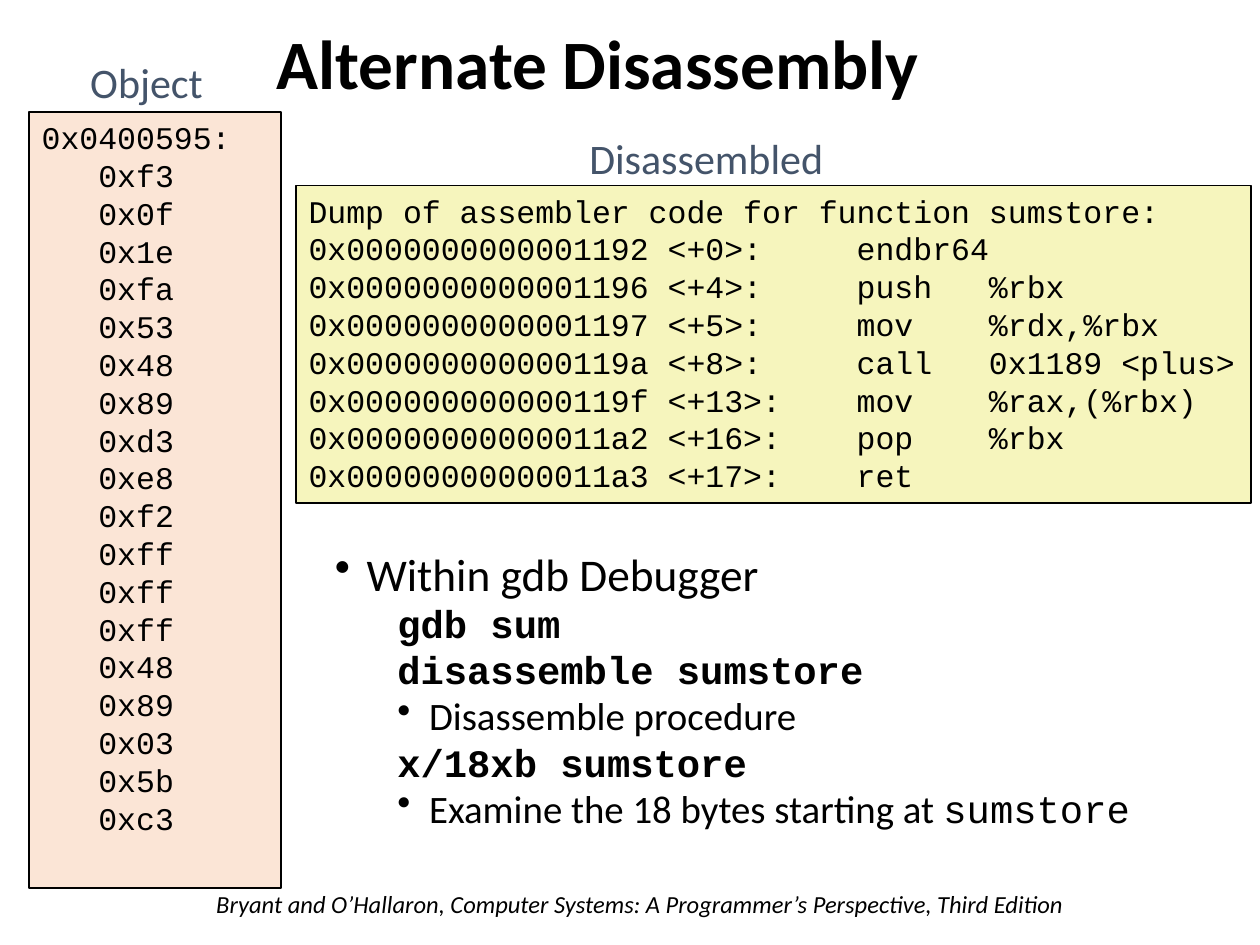
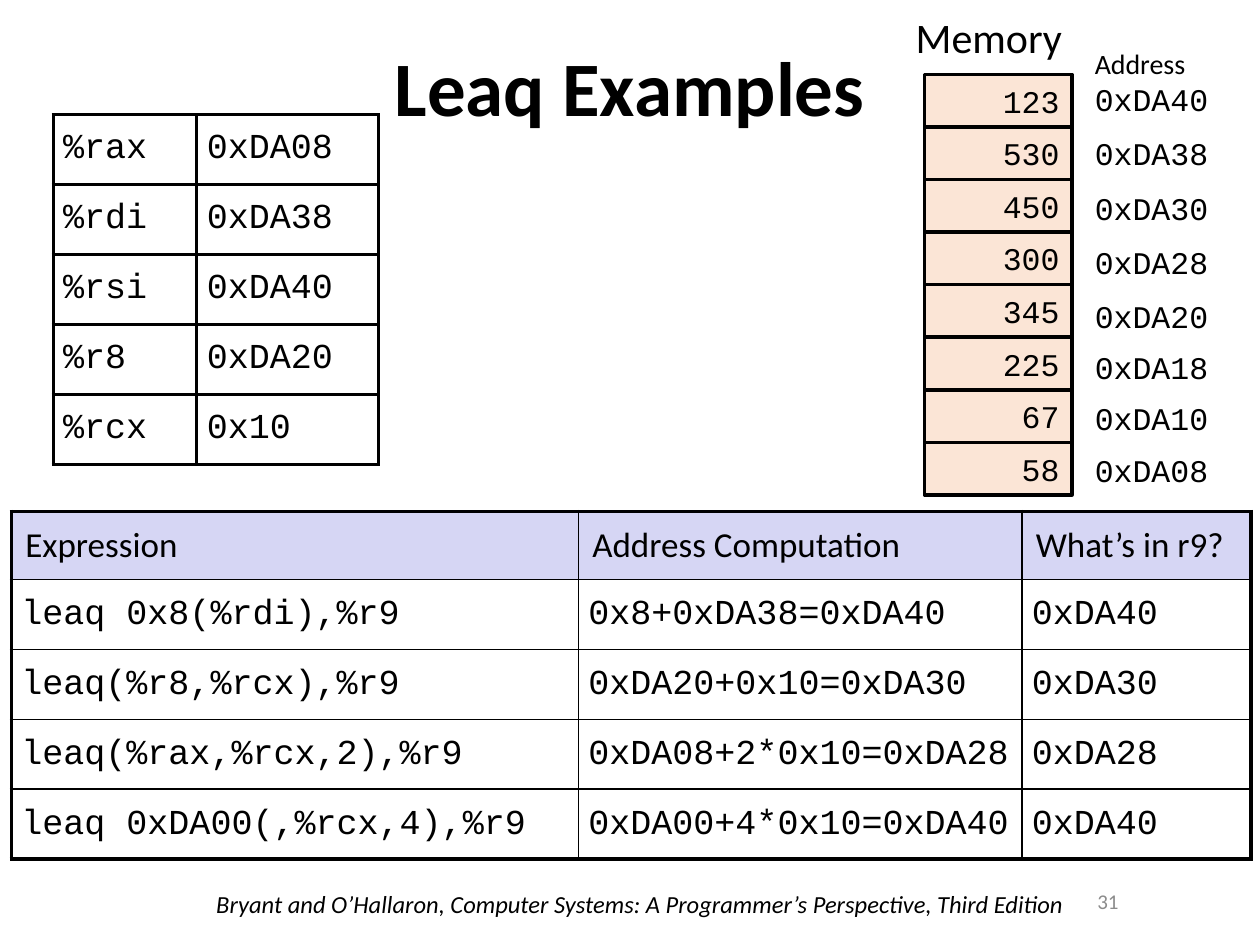
"""Build two slides on disassembly and the leaq instruction."""
import dataclasses

import lxml.etree
import pptx
import pptx.dml.color
import pptx.enum.shapes
import pptx.enum.text
import pptx.oxml.ns
import pptx.util

Cm = pptx.util.Cm
Pt = pptx.util.Pt
Color = pptx.dml.color.RGBColor
Align = pptx.enum.text.PP_ALIGN
Anchor = pptx.enum.text.MSO_ANCHOR


@dataclasses.dataclass(frozen=True)
class Theme:
    """Colours, fonts and type sizes of the deck."""
    sans: str = "Calibri"
    mono: str = "Courier New"
    black: Color = Color(0, 0, 0)
    white: Color = Color(255, 255, 255)
    slate: Color = Color(0x44, 0x54, 0x6A)
    gray: Color = Color(0x8C, 0x8C, 0x8C)
    peach: Color = Color(0xFB, 0xE5, 0xD6)
    yellow: Color = Color(0xF6, 0xF5, 0xBD)
    lavender: Color = Color(0xD6, 0xD6, 0xF4)
    title: float = 44
    small_title: float = 39.6
    body: float = 25.9
    sub_body: float = 22.2
    label: float = 24
    table: float = 20
    code: float = 18
    caption: float = 16
    footer: float = 14
    page: float = 12


THEME = Theme()
FOOTER = "Bryant and O’Hallaron, Computer Systems: A Programmer’s Perspective, Third Edition"
OBJECT_BYTES = ("f3 0f 1e fa 53 48 89 d3 e8 f2 ff ff ff 48 89 03 5b c3").split()
DISASSEMBLY = (
    "Dump of assembler code for function sumstore:",
    "0x0000000000001192 <+0>:     endbr64",
    "0x0000000000001196 <+4>:     push   %rbx",
    "0x0000000000001197 <+5>:     mov    %rdx,%rbx",
    "0x000000000000119a <+8>:     call   0x1189 <plus>",
    "0x000000000000119f <+13>:    mov    %rax,(%rbx)",
    "0x00000000000011a2 <+16>:    pop    %rbx",
    "0x00000000000011a3 <+17>:    ret",
)
REGISTERS = (
    ("%rax", "0xDA08"),
    ("%rdi", "0xDA38"),
    ("%rsi", "0xDA40"),
    ("%r8", "0xDA20"),
    ("%rcx", "0x10"),
)
MEMORY = (
    ("123", "0xDA40", 1.48),
    ("530", "0xDA38", 2.58),
    ("450", "0xDA30", 3.68),
    ("300", "0xDA28", 4.78),
    ("345", "0xDA20", 5.87),
    ("225", "0xDA18", 6.9),
    ("67", "0xDA10", 7.92),
    ("58", "0xDA08", 8.96),
)
LEAQ_EXAMPLES = (
    ("Expression", "Address Computation", "What’s in r9?"),
    ("leaq 0x8(%rdi),%r9", "0x8+0xDA38=0xDA40", "0xDA40"),
    ("leaq(%r8,%rcx),%r9", "0xDA20+0x10=0xDA30", "0xDA30"),
    ("leaq(%rax,%rcx,2),%r9", "0xDA08+2*0x10=0xDA28", "0xDA28"),
    ("leaq 0xDA00(,%rcx,4),%r9", "0xDA00+4*0x10=0xDA40", "0xDA40"),
)


def add_run(paragraph, text, size, font=THEME.sans, color=THEME.black, bold=False, italic=False):
    """Append one formatted run to a paragraph."""
    run = paragraph.add_run()
    run.text = text
    run.font.name = font
    run.font.size = Pt(size)
    run.font.color.rgb = color
    run.font.bold = bold
    run.font.italic = italic


def next_paragraph(frame):
    """Return the unused first paragraph of a frame, or a new one."""
    first = frame.paragraphs[0]
    return frame.add_paragraph() if first.runs else first


def add_text(slide, box, text, size, align=Align.LEFT, anchor=Anchor.TOP, spacing=None, **style):
    """Add a one-paragraph text box; box is left, top, width, height in cm."""
    frame = slide.shapes.add_textbox(*map(Cm, box)).text_frame
    frame.word_wrap = True
    frame.vertical_anchor = anchor
    paragraph = frame.paragraphs[0]
    paragraph.alignment = align
    if spacing:
        paragraph.line_spacing = spacing
    add_run(paragraph, text, size, **style)


def add_title(slide, box, text, size):
    """Add a bold centred slide title."""
    add_text(slide, box, text, size, Align.CENTER, Anchor.MIDDLE, 0.9, bold=True)


def add_code_box(slide, box, lines, fill, line_width=1, align=Align.LEFT, anchor=Anchor.TOP):
    """Add a bordered rectangle that holds lines of code."""
    shape = slide.shapes.add_shape(
        pptx.enum.shapes.MSO_SHAPE.RECTANGLE, *map(Cm, box))
    shape.shadow.inherit = False
    shape.fill.solid()
    shape.fill.fore_color.rgb = fill
    shape.line.color.rgb = THEME.black
    shape.line.width = Pt(line_width)
    frame = shape.text_frame
    frame.word_wrap = True
    frame.vertical_anchor = anchor
    for line in lines:
        paragraph = next_paragraph(frame)
        paragraph.alignment = align
        add_run(paragraph, line, THEME.code, THEME.mono)


def add_body_line(frame, level, bullet, *runs):
    """Add an outline line; each run is text, font and bold."""
    paragraph = next_paragraph(frame)
    paragraph.level = level
    paragraph.line_spacing = 0.8
    if level:
        paragraph.space_before = Pt(5)
    properties = paragraph._p.get_or_add_pPr()
    properties.set("marL", str(Cm(1.9 if level else 0.64)))
    properties.set("indent", str(Cm(-0.64)))
    if bullet:
        mark = lxml.etree.SubElement(properties, pptx.oxml.ns.qn("a:buChar"))
        mark.set("char", "•")
    size = THEME.sub_body if level else THEME.body
    for text, font, bold in runs:
        add_run(paragraph, text, size, font, bold=bold)


def set_borders(cell, widths):
    """Draw black cell borders; widths are left, right, top, bottom in points."""
    properties = cell._tc.get_or_add_tcPr()
    for position, (side, width) in enumerate(zip("LRTB", widths)):
        line = lxml.etree.Element(pptx.oxml.ns.qn(f"a:ln{side}"), w=str(Pt(width)))
        fill = lxml.etree.SubElement(line, pptx.oxml.ns.qn("a:solidFill"))
        lxml.etree.SubElement(fill, pptx.oxml.ns.qn("a:srgbClr"), val=str(THEME.black))
        properties.insert(position, line)


def add_code_table(slide, left, top, widths, heights, rows, outer, inner, header=False, spacing=1.0):
    """Add a table of code, with an optional shaded header row."""
    table = slide.shapes.add_table(
        len(rows), len(widths), Cm(left), Cm(top), Cm(sum(widths)), Cm(sum(heights))).table
    table.first_row = table.horz_banding = False
    for column, width in zip(table.columns, widths):
        column.width = Cm(width)
    last_row, last_column = len(rows) - 1, len(widths) - 1
    for i, texts in enumerate(rows):
        table.rows[i].height = Cm(heights[i])
        is_header = header and i == 0
        for j, text in enumerate(texts):
            cell = table.cell(i, j)
            cell.fill.solid()
            cell.fill.fore_color.rgb = THEME.lavender if is_header else THEME.white
            cell.vertical_anchor = Anchor.MIDDLE
            margin = Cm(0.28 if is_header else 0.2)
            cell.margin_left = cell.margin_right = margin
            cell.margin_top = cell.margin_bottom = margin
            paragraph = cell.text_frame.paragraphs[0]
            paragraph.line_spacing = spacing
            add_run(paragraph, text, THEME.table, THEME.sans if is_header else THEME.mono)
            edges = (j == 0, j == last_column, i == 0, i == last_row)
            set_borders(cell, [outer if edge else inner for edge in edges])


def add_slide(presentation):
    """Add a blank slide with the shared footer."""
    slide = presentation.slides.add_slide(presentation.slide_layouts[6])
    add_text(slide, (4.11, 17.8, 18.04, 0.86), FOOTER, THEME.footer, italic=True)
    return slide


def build_disassembly_slide(presentation):
    """Show object bytes beside their disassembly and the debugger commands."""
    slide = add_slide(presentation)
    add_title(slide, (3.38, 0.56, 17.35, 1.6), "Alternate Disassembly", THEME.small_title)
    add_text(slide, (11.63, 2.54, 7.24, 1.14), "Disassembled", THEME.label, color=THEME.slate)
    add_text(slide, (1.57, 1.02, 3.63, 1.14), "Object", THEME.label, color=THEME.slate)
    add_code_box(slide, (5.97, 3.74, 19.25, 6.4), DISASSEMBLY, THEME.yellow)
    object_lines = ["0x0400595:"] + [f"   0x{byte}" for byte in OBJECT_BYTES]
    add_code_box(slide, (0.59, 2.26, 5.08, 15.65), object_lines, THEME.peach)

    frame = slide.shapes.add_textbox(Cm(6.5), Cm(11.1), Cm(17.5), Cm(6.25)).text_frame
    frame.word_wrap = True
    add_body_line(frame, 0, True, ("Within gdb Debugger", THEME.sans, False))
    add_body_line(frame, 1, False, ("gdb sum", THEME.mono, True))
    add_body_line(frame, 1, False, ("disassemble sumstore", THEME.mono, True))
    add_body_line(frame, 1, True, ("Disassemble procedure", THEME.sans, False))
    add_body_line(frame, 1, False, ("x/18xb sumstore", THEME.mono, True))
    add_body_line(frame, 1, True, ("Examine the 18 bytes starting at ", THEME.sans, False),
                  ("sumstore", THEME.mono, False))


def build_leaq_slide(presentation):
    """Show registers, memory and worked leaq expressions."""
    slide = add_slide(presentation)
    add_title(slide, (0, 0, 25.4, 3.68), "Leaq Examples", THEME.title)
    add_text(slide, (21.5, 17.65, 1.3, 1.02), "31", THEME.page,
             Align.RIGHT, Anchor.MIDDLE, color=THEME.gray)
    row_height = 1.41
    add_code_table(slide, 1.07, 2.31, (2.9, 3.66), [row_height] * 5, REGISTERS, 2, 2)
    add_text(slide, (18.21, 0.1, 3.8, 1.27), "Memory", THEME.label)
    add_text(slide, (21.82, 0.81, 3.38, 0.94), "Address", THEME.caption)
    cell_height = 1.06
    for i, (value, address, address_top) in enumerate(MEMORY):
        add_code_box(slide, (18.64, 1.5 + i * cell_height, 2.97, cell_height), [value],
                     THEME.peach, 2, Align.RIGHT, Anchor.MIDDLE)
        add_text(slide, (21.82, address_top, 3.38, 1.02), address, THEME.code, font=THEME.mono)
    add_code_table(slide, 0.23, 10.31, (11.43, 8.94, 4.62), [1.37] + [row_height] * 4,
                   LEAQ_EXAMPLES, 2.25, 1, header=True, spacing=0.95)


def main():
    """Build and save the presentation."""
    presentation = pptx.Presentation()
    presentation.slide_width = Cm(25.4)
    presentation.slide_height = Cm(19.05)
    build_disassembly_slide(presentation)
    build_leaq_slide(presentation)
    presentation.save("out.pptx")


if __name__ == "__main__":
    main()
